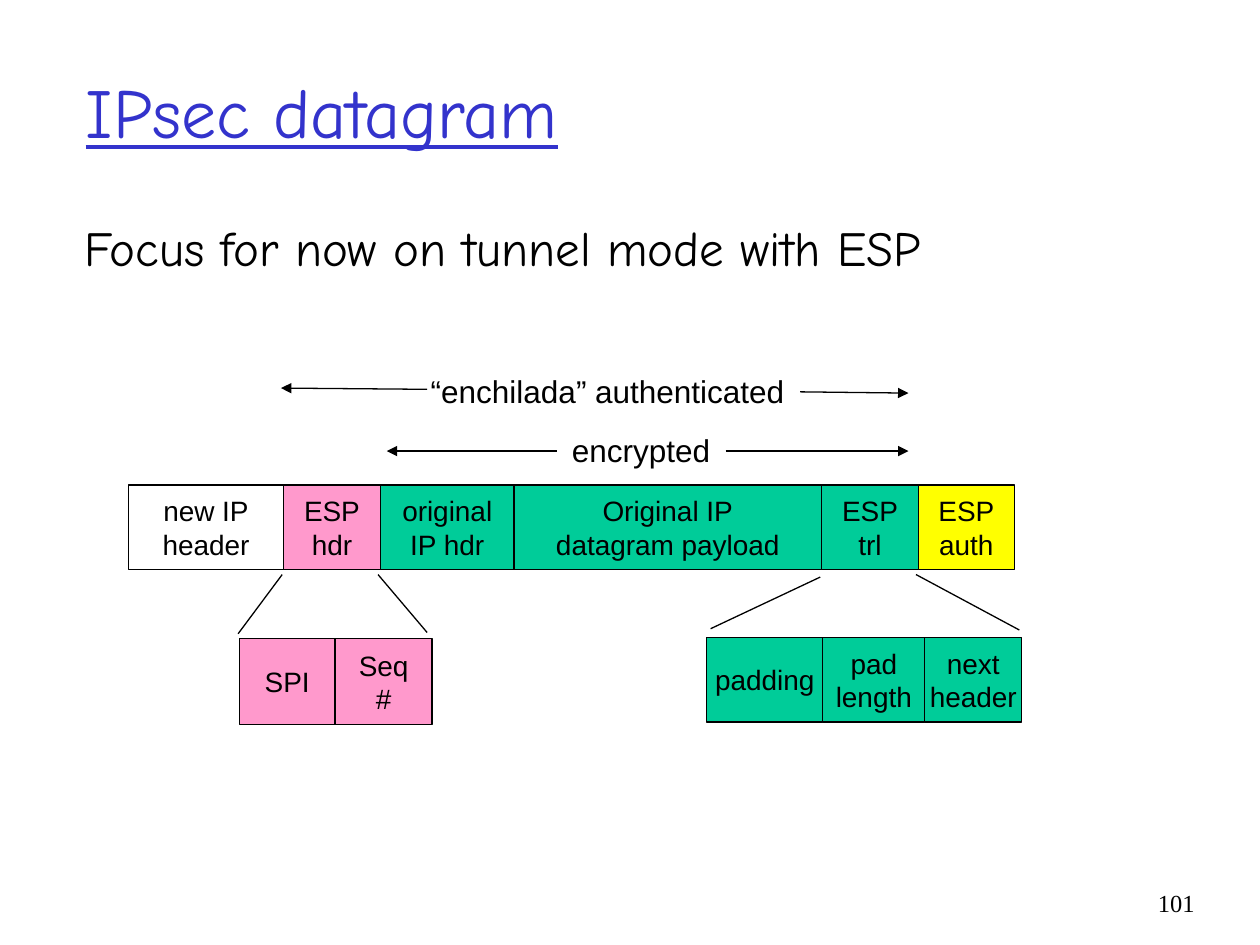
from lxml import etree
from pptx import Presentation
from pptx.dml.color import RGBColor
from pptx.enum.shapes import MSO_CONNECTOR as Link, MSO_SHAPE as Shape
from pptx.enum.text import MSO_ANCHOR as Anchor, PP_ALIGN as Align
from pptx.oxml.ns import qn
from pptx.util import Inches, Pt

COLORS = {"ink": "000000", "title": "3333CC", "pink": "FF99CC",
          "green": "00CC99", "yellow": "FFFF00"}


def color(name):
    return RGBColor.from_string(COLORS[name])


def style(frame, face, size, tint="ink", align=Align.LEFT):
    for para in frame.paragraphs:
        para.alignment = align
        para.font.name = face
        para.font.size = Pt(size)
        para.font.color.rgb = color(tint)


def add_title(slide, x, y, w, h):
    title = slide.shapes.title
    title.left, title.top = Inches(x), Inches(y)
    title.width, title.height = Inches(w), Inches(h)
    frame = title.text_frame
    frame.text = "IPsec datagram"
    frame.vertical_anchor = Anchor.MIDDLE
    style(frame, "Comic Neue", 40, "title")
    frame.paragraphs[0].font.underline = True


def add_text(slide, text, x, y, w, h, face, size, align=Align.LEFT, wrap=True):
    box = slide.shapes.add_textbox(Inches(x), Inches(y), Inches(w), Inches(h))
    frame = box.text_frame
    frame.word_wrap = wrap
    frame.text = text
    style(frame, face, size, align=align)


def add_line(slide, x1, y1, x2, y2, arrow=False):
    line = slide.shapes.add_connector(
        Link.STRAIGHT, Inches(x1), Inches(y1), Inches(x2), Inches(y2))
    line.line.color.rgb = color("ink")
    line.line.width = Pt(0.75)
    if arrow:
        etree.SubElement(line.line._get_or_add_ln(), qn("a:tailEnd"), type="triangle")
    etree.SubElement(line._element.spPr, qn("a:effectLst"))


def add_row(slide, x, y, h, cells):
    """Lay touching fields from left to right; each is (text, width, fill)."""
    for text, w, fill in cells:
        cell = slide.shapes.add_shape(
            Shape.RECTANGLE, Inches(x), Inches(y), Inches(w), Inches(h))
        cell.shadow.inherit = False
        if fill:
            cell.fill.solid()
            cell.fill.fore_color.rgb = color(fill)
        else:
            cell.fill.background()
        cell.line.color.rgb = color("ink")
        cell.line.width = Pt(0.75)
        frame = cell.text_frame
        frame.word_wrap = False
        frame.vertical_anchor = Anchor.MIDDLE
        frame.text = text
        style(frame, "Arial", 16, align=Align.CENTER)
        x += w


def add_span(slide, text, x, y, w, left, right):
    """Label a range; each arrow is (x1, y1, x2, y2), pointing outward."""
    add_text(slide, text, x, y, w, 0.4, "Arial", 18, wrap=False)
    for arrow in (left, right):
        add_line(slide, *arrow, arrow=True)


def add_packet(slide, x, y, h):
    add_row(slide, x, y, h, [
        ("new IP\vheader", 1.23, None),
        ("ESP\nhdr", 0.77, "pink"),
        ("original\vIP hdr", 1.06, "green"),
        ("Original IP\ndatagram payload", 2.44, "green"),
        ("ESP\ntrl", 0.77, "green"),
        ("ESP\nauth", 0.76, "yellow"),
    ])


def add_detail(slide, x, y, h, cells, rays):
    """Show the fields inside a header, with lines up to that header."""
    add_row(slide, x, y, h, cells)
    for ray in rays:
        add_line(slide, *ray)


def main():
    deck = Presentation()
    deck.slide_width, deck.slide_height = Inches(10), Inches(7.5)
    slide = deck.slides.add_slide(deck.slide_layouts[5])

    add_title(slide, 0.58, 0.25, 8.5, 1.25)
    add_text(slide, "Focus for now on tunnel mode with ESP",
             0.57, 1.68, 8.5, 0.65, "Comic Neue", 28)
    add_packet(slide, 1.02, 3.85, 0.67)
    add_span(slide, "encrypted", 4.44, 3.37, 1.3,
             (4.42, 3.58, 3.07, 3.58), (5.76, 3.58, 7.21, 3.58))
    add_span(slide, "“enchilada” authenticated", 3.32, 2.9, 3.01,
             (3.39, 3.09, 2.23, 3.08), (6.35, 3.11, 7.21, 3.12))
    add_detail(slide, 5.61, 5.06, 0.67,
               [("padding", 0.92, "green"), ("pad\vlength", 0.81, "green"),
                ("next\vheader", 0.77, "green")],
               [(5.64, 4.99, 6.51, 4.58), (8.09, 5, 7.27, 4.56)])
    add_detail(slide, 1.9, 5.07, 0.68,
               [("SPI", 0.76, "pink"), ("Seq\n#", 0.77, "pink")],
               [(1.89, 5.03, 2.24, 4.56), (3, 4.56, 3.39, 5.02)])
    add_text(slide, "101", 9.08, 7, 0.5, 0.5, "Times New Roman", 14, Align.RIGHT)

    deck.save("out.pptx")


if __name__ == "__main__":
    main()
